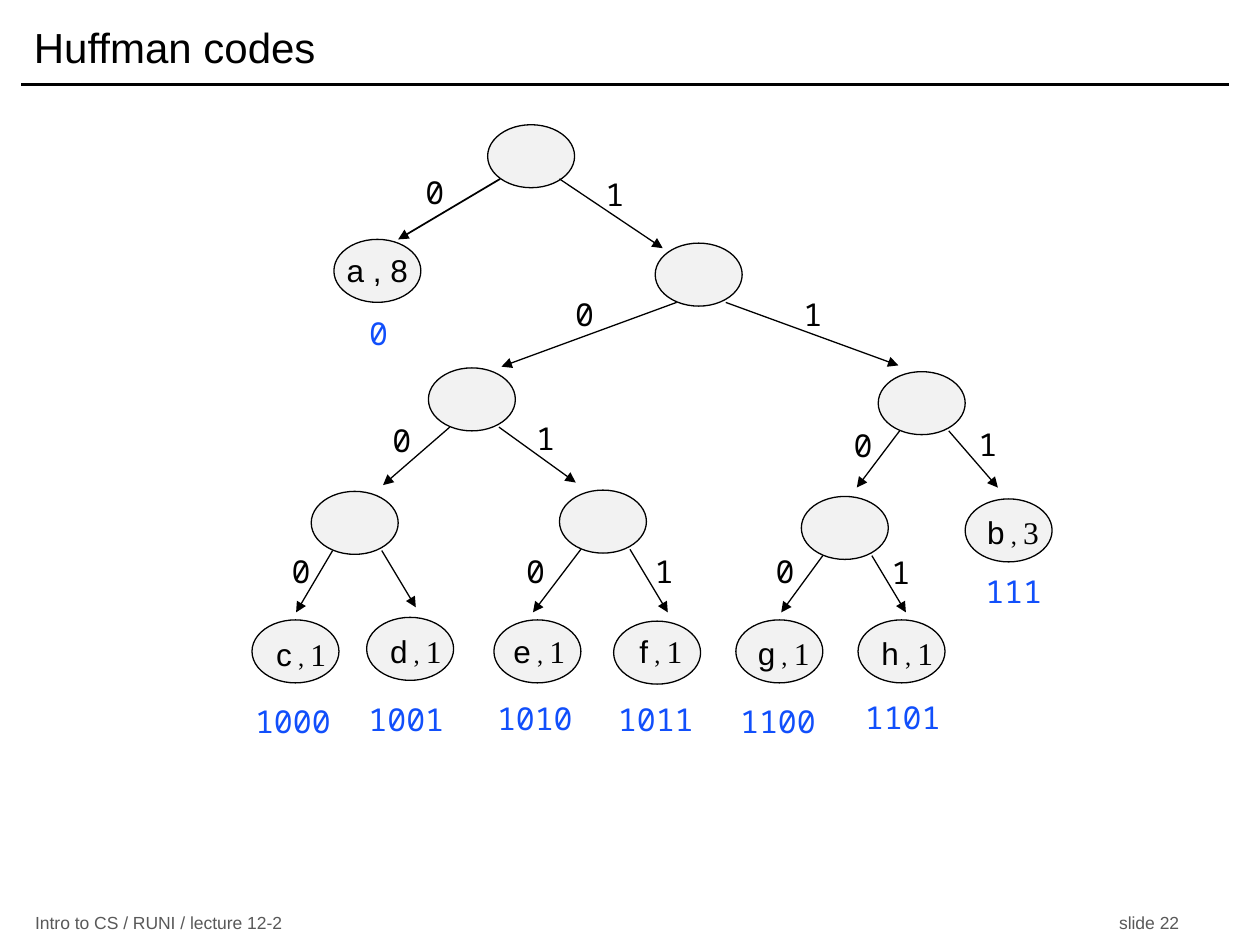
"""Build a slide that shows a Huffman code tree."""
from lxml.etree import SubElement
from pptx import Presentation
from pptx.dml.color import RGBColor
from pptx.enum.shapes import MSO_CONNECTOR, MSO_SHAPE
from pptx.enum.text import MSO_ANCHOR, PP_ALIGN
from pptx.oxml.ns import qn
from pptx.util import Inches, Pt

BLACK, GRAY, PALE, BLUE = "000000", "595959", "F2F2F2", "114FFB"
SANS, MONO, SERIF = "Arial", "Noto Sans Mono", "Times New Roman"
WIDE, HIGH = 0.69, 0.5
FEET = {"0": (0.17, 0.47), "1": (0.56, 0.47)}
TOP_FEET = {"0": (0.1, 0.43), "1": (0.57, 0.43)}

TITLE = "Huffman codes"
FOOT = "Intro to CS / RUNI / lecture 12-2\tslide 22"

# parent place, feet, then (bit, arrow end, bit place)
FORKS = [
    ((3.87, 0.99), TOP_FEET, [("0", (3.16, 1.9), (3.29, 1.32)), ("1", (5.26, 1.97), (4.72, 1.34))]),
    ((5.2, 1.93), FEET, [("0", (3.98, 2.91), (4.48, 2.29)), ("1", (7.13, 2.9), (6.29, 2.29))]),
    ((3.4, 2.92), FEET, [("0", (3.04, 3.85), (3.03, 3.29)), ("1", (4.57, 3.83), (4.17, 3.28))]),
    ((6.97, 2.95), FEET, [("0", (6.8, 3.87), (6.69, 3.33)), ("1", (7.92, 3.87), (7.68, 3.32))]),
    ((2.47, 3.9), FEET, [("0", (2.35, 4.86), (2.23, 4.33)), ("1", (3.3, 4.82), None)]),
    ((4.44, 3.89), FEET, [("0", (4.23, 4.86), (4.09, 4.33)), ("1", (5.3, 4.86), (5.11, 4.33))]),
    ((6.36, 3.94), FEET, [("0", (6.2, 4.86), (6.07, 4.33)), ("1", (7.19, 4.86), (6.99, 4.34))]),
]
A_RUNS = [("a , 8", 18, SANS)]
LEAVES = [
    ((2.65, 1.9), A_RUNS, (2.65, 1.94, 0.69), "0", (2.64, 2.44)),
    ((7.66, 3.96), "b3", (7.73, 4.02, 0.62), "111", (7.68, 4.49)),
    ((2, 4.92), "c1", (2.09, 4.99, 0.6), "1000", (1.96, 5.52)),
    ((2.91, 4.9), "d1", (2.99, 4.97, 0.62), "1001", (2.86, 5.51)),
    ((3.92, 4.92), "e1", (3.97, 4.97, 0.62), "1010", (3.88, 5.5)),
    ((4.87, 4.93), "f1", (4.97, 4.97, 0.55), "1011", (4.84, 5.51)),
    ((5.84, 4.92), "g1", (5.91, 4.98, 0.62), "1100", (5.81, 5.52)),
    ((6.81, 4.92), "h1", (6.89, 4.98, 0.62), "1101", (6.8, 5.49)),
]


def tint(code):
    return RGBColor.from_string(code)


def apply(item, form):
    for name, value in form.items():
        setattr(item, name, value)


def write(slide, place, runs, color=BLACK, align=PP_ALIGN.CENTER, side=0.1, **form):
    box = slide.shapes.add_textbox(*map(Inches, place))
    base = {"word_wrap": True, "margin_left": Inches(side), "margin_right": Inches(side)}
    apply(box.text_frame, base | form)
    para = box.text_frame.paragraphs[0]
    para.alignment = align
    for text, size, font in runs:
        run = para.add_run()
        run.text = text
        apply(run.font, {"size": Pt(size), "name": font})
        run.font.color.rgb = tint(color)
    return para


def code(slide, spot, wide, text, color):
    write(slide, (*spot, wide, 0.41), [(text, 18, MONO)], color, side=0)


def node(slide, spot):
    oval = slide.shapes.add_shape(MSO_SHAPE.OVAL, *map(Inches, (*spot, WIDE, HIGH)))
    oval.shadow.inherit = False
    oval.fill.solid()
    oval.fill.fore_color.rgb = tint(PALE)
    oval.line.color.rgb = tint(BLACK)
    oval.line.width = Pt(0.75)


def rule(slide, start, end, width, arrow=True):
    line = slide.shapes.add_connector(MSO_CONNECTOR.STRAIGHT, *map(Inches, (*start, *end)))
    line.line.color.rgb = tint(BLACK)
    line.line.width = Pt(width)
    props = line._element.spPr
    if arrow:
        SubElement(props.find(qn("a:ln")), qn("a:tailEnd"), type="triangle")
    SubElement(props, qn("a:effectLst"))


def main():
    deck = Presentation()
    apply(deck, {"slide_width": Inches(10), "slide_height": Inches(7.5)})
    slide = deck.slides.add_slide(deck.slide_layouts[6])
    rule(slide, (0.17, 0.67), (9.75, 0.67), 2, False)
    mid = {"align": PP_ALIGN.LEFT, "vertical_anchor": MSO_ANCHOR.MIDDLE}
    write(slide, (0.17, 0.08, 9.58, 0.58), [(TITLE, 24, SANS)], **mid)
    foot = write(slide, (0.18, 7.23, 9.42, 0.19), [(FOOT, 10, SANS)], GRAY, **mid)
    tabs = SubElement(foot._p.get_or_add_pPr(), qn("a:tabLst"))
    SubElement(tabs, qn("a:tab"), pos=str(Inches(9.08)), algn="r")

    for spot, feet, arms in FORKS:
        node(slide, spot)
        for bit, end, place in arms:
            start = [at + move for at, move in zip(spot, feet[bit])]
            rule(slide, start, end, 1 if feet is TOP_FEET and bit == "0" else 0.75)
            if place:
                code(slide, place, 0.32, bit, BLACK)

    for spot, label, place, bits, below in LEAVES:
        node(slide, spot)
        runs = label
        if label is not A_RUNS:
            sign, count = label
            runs = [(sign, 18, SANS), (" , ", 14, SERIF), (count, 18, SERIF)]
        write(slide, (*place, 0.4), runs, word_wrap=False)
        code(slide, below, 0.73, bits, BLUE)
    deck.save("out.pptx")


if __name__ == "__main__":
    main()
